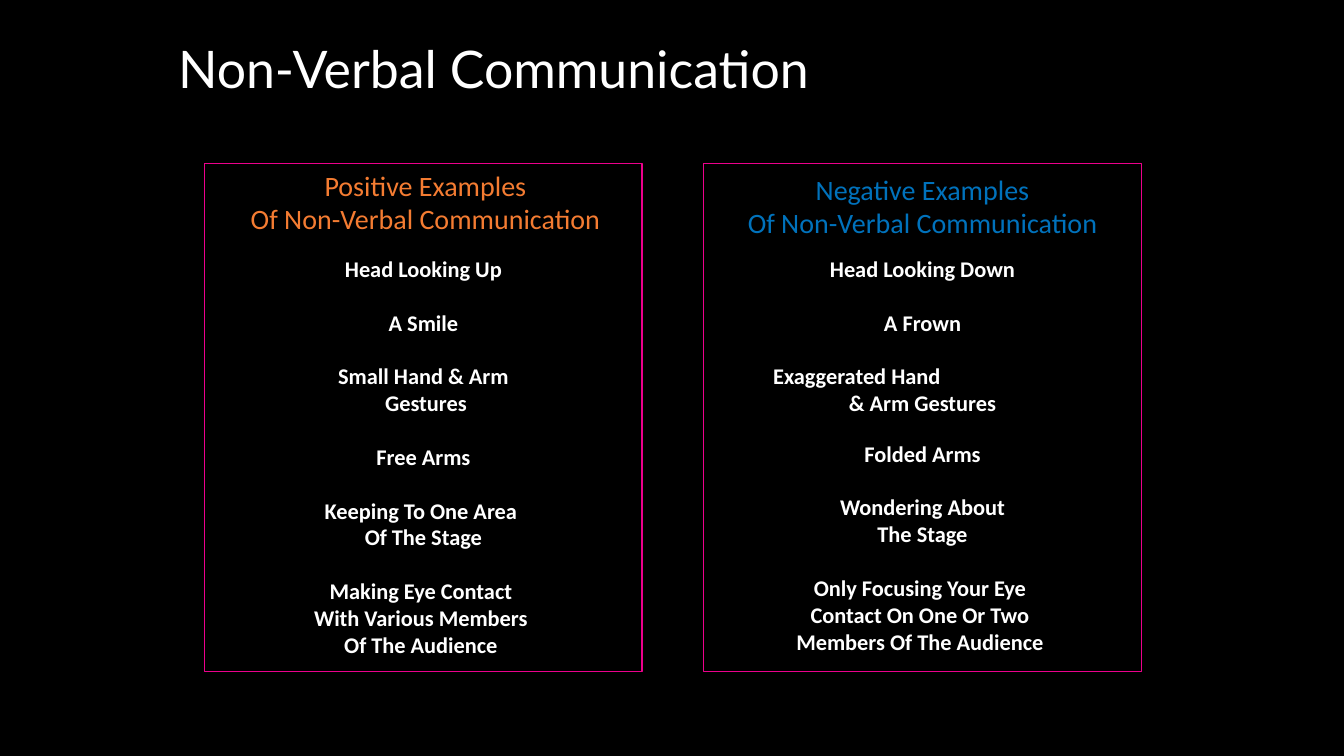
from pptx import Presentation
from pptx.dml.color import RGBColor
from pptx.enum.shapes import MSO_SHAPE
from pptx.enum.text import MSO_ANCHOR, PP_ALIGN
from pptx.util import Inches, Pt

RECTANGLE = MSO_SHAPE.RECTANGLE
CENTER, LEFT = PP_ALIGN.CENTER, PP_ALIGN.LEFT
TOP, MIDDLE = MSO_ANCHOR.TOP, MSO_ANCHOR.MIDDLE

WIDTH, HEIGHT = 13.33, 7.5
PANEL_LEFT, PANEL_TOP = 2.03, 1.62
PANEL_WIDTH, PANEL_HEIGHT = 4.34, 5.04
PANEL_STEP = 4.95
LIST_OFFSET = 0.86
BLACK, WHITE, PINK = "000000", "FFFFFF", "EC008C"
ORANGE, BLUE = "F47C32", "0072BC"
GAP = 19.2
SMALL_GAP = 16.8

POSITIVE = [
    ["Head Looking Up"],
    ["A Smile"],
    ["Small Hand & Arm", " Gestures"],
    ["Free Arms"],
    ["Keeping To One Area ", "Of The Stage"],
    ["Making Eye Contact ", "With Various Members ", "Of The Audience "],
]
NEGATIVE = [
    ["Head Looking Down"],
    ["A Frown"],
    ["Exaggerated Hand", "& Arm Gestures"],
    ["Folded Arms"],
    ["Wondering About", "The Stage"],
    ["Only Focusing Your Eye ", "Contact On One Or Two ", "Members Of The Audience "],
]
PANELS = [
    ("Positive Examples", ORANGE, POSITIVE, 0.02, 0),
    ("Negative Examples", BLUE, NEGATIVE, 0, 0.04),
]


def color(value):
    return RGBColor.from_string(value)


def add_span(para, text, size, fill, font="Calibri", bold=False):
    span = para.add_run()
    span.text = text
    span.font.name = font
    span.font.size = Pt(size)
    span.font.bold = bold
    span.font.color.rgb = color(fill)


def add_text_box(page, left, top, width, height):
    box = page.shapes.add_textbox(*map(Inches, (left, top, width, height)))
    frame = box.text_frame
    frame.word_wrap = True
    frame.vertical_anchor = TOP
    return frame


def next_para(frame, index):
    para = frame.paragraphs[0] if index == 0 else frame.add_paragraph()
    para.alignment = CENTER
    return para


def add_title(page, left, top, width, height):
    title = page.shapes.title
    title.left, title.top = Inches(left), Inches(top)
    title.width, title.height = Inches(width), Inches(height)
    frame = title.text_frame
    frame.word_wrap = True
    frame.vertical_anchor = MIDDLE
    para = frame.paragraphs[0]
    para.alignment = LEFT
    add_span(para, "Non-Verbal Communication", 37, WHITE, "Lato")


def add_frame(page, left, top, width, height):
    box = page.shapes.add_shape(RECTANGLE, *map(Inches, (left, top, width, height)))
    box.shadow.inherit = False
    box.fill.solid()
    box.fill.fore_color.rgb = color(BLACK)
    box.line.color.rgb = color(PINK)
    box.line.width = Pt(1)


def add_heading(page, first_line, fill, left, top, width):
    frame = add_text_box(page, left, top, width, 0.77)
    for index, text in enumerate([first_line, "Of Non-Verbal Communication"]):
        add_span(next_para(frame, index), text, 20, fill)


def add_examples(page, examples, left, top, width, height):
    frame = add_text_box(page, left, top, width, height)
    lines = [(text, row) for example in examples for row, text in enumerate(example)]
    for index, (text, row) in enumerate(lines):
        para = next_para(frame, index)
        if index and row == 0:
            para.space_before = Pt(SMALL_GAP if text == "Folded Arms" else GAP)
        if text == "Exaggerated Hand":
            para.alignment = LEFT
            para._p.get_or_add_pPr().set("marL", str(Inches(0.59)))
        add_span(para, text, 16, WHITE, bold=True)


def add_panel(page, panel, left, top, width, height):
    heading, fill, examples, shift_x, shift_y = panel
    add_frame(page, left, top, width, height)
    add_heading(page, heading, fill, left + shift_x, top + shift_y, width)
    add_examples(page, examples, left, top + LIST_OFFSET, width, height - LIST_OFFSET)


def main():
    deck = Presentation()
    deck.slide_width, deck.slide_height = Inches(WIDTH), Inches(HEIGHT)
    page = deck.slides.add_slide(deck.slide_layouts[5])
    page.background.fill.solid()
    page.background.fill.fore_color.rgb = color(BLACK)
    add_title(page, WIDTH / 8, 0.24, 7.62, 0.87)
    for column, panel in enumerate(PANELS):
        left = PANEL_LEFT + column * PANEL_STEP
        add_panel(page, panel, left, PANEL_TOP, PANEL_WIDTH, PANEL_HEIGHT)
    deck.save("out.pptx")


if __name__ == "__main__":
    main()
